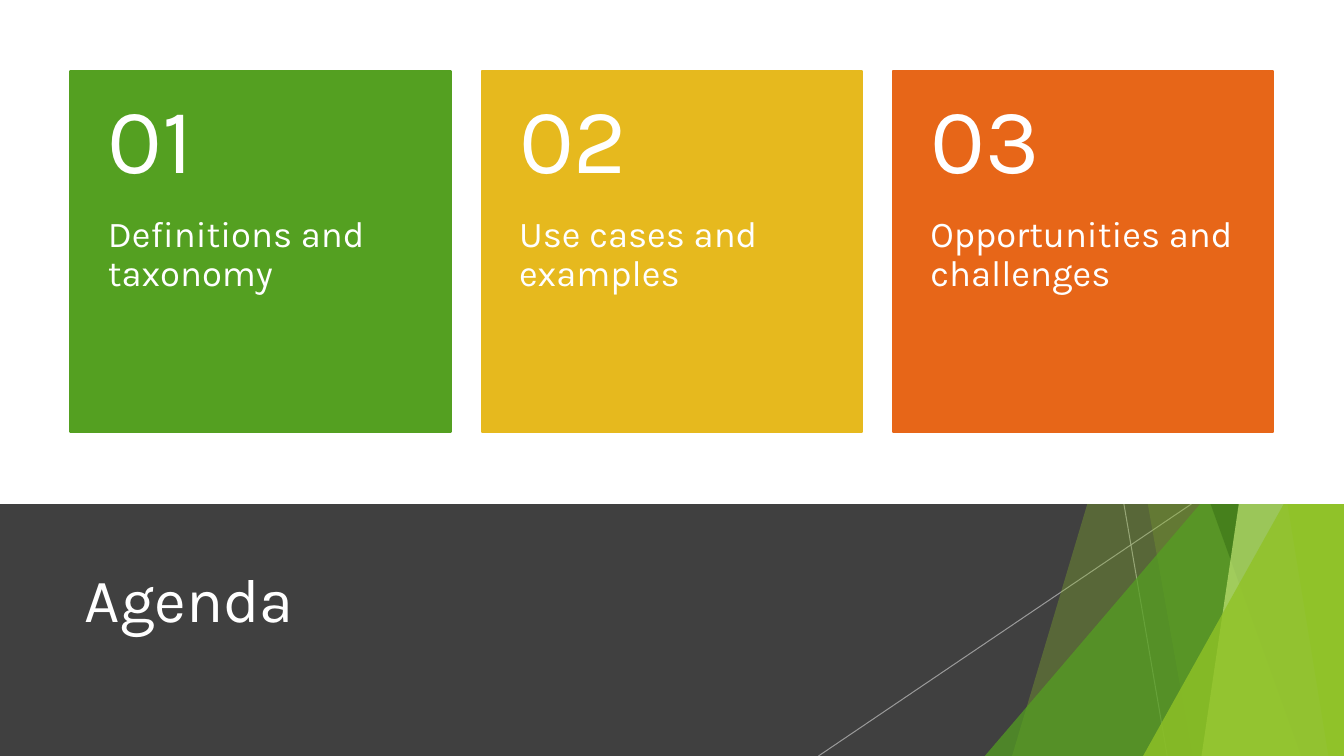
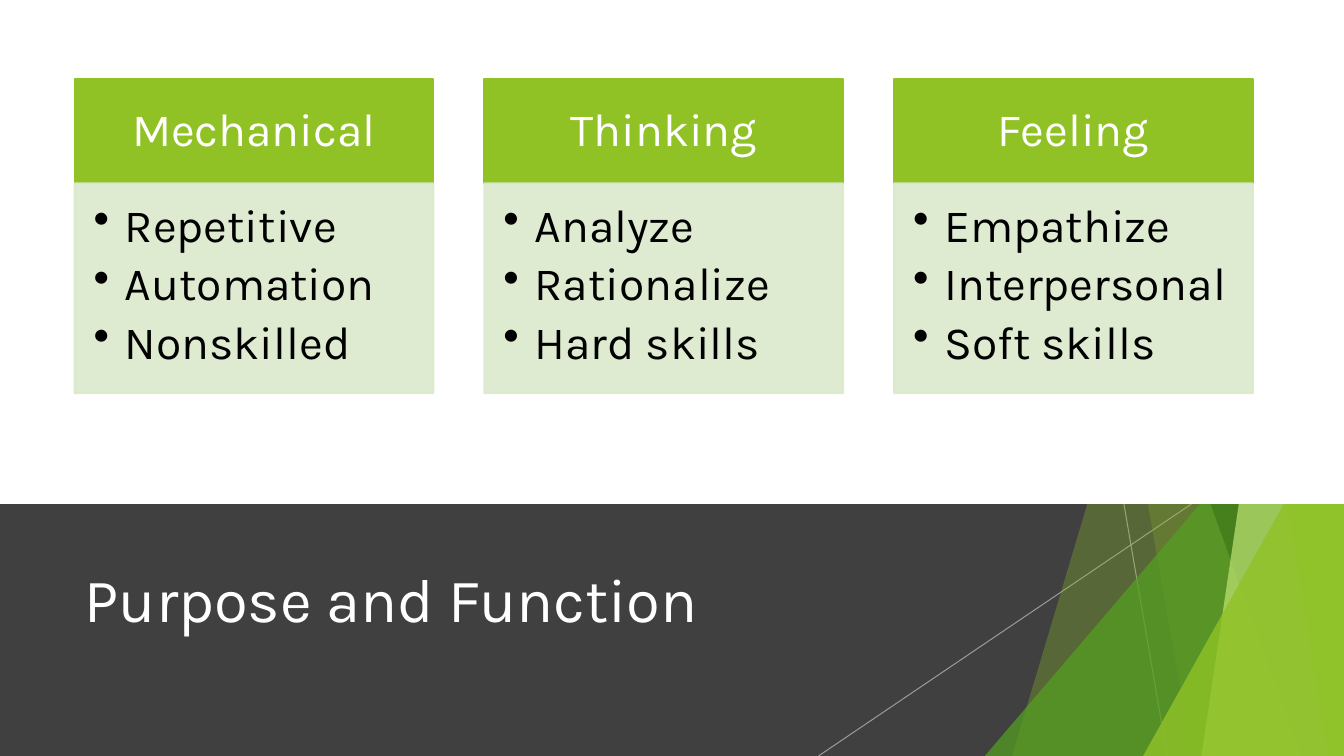
import dataclasses
import typing

import lxml.etree
import pptx
import pptx.dml.color
import pptx.enum.shapes
import pptx.enum.text
import pptx.oxml.ns
import pptx.util

Pt = pptx.util.Pt
Preset = pptx.enum.shapes.MSO_SHAPE
Anchor = pptx.enum.text.MSO_ANCHOR
Align = pptx.enum.text.PP_ALIGN

# Shared look
COLOURS = {
    "white": "FFFFFF", "black": "000000", "band": "404040", "ray": "BFBFBF",
    "lime": "90C226", "green": "54A021", "forest": "3F7819", "pale": "C0E474",
    "mint": "DBE9CD", "gold": "E6B91E", "orange": "E76618",
}
FONT = "Karla"
PAGE_WIDTH, PAGE_HEIGHT, BAND_TOP = 960, 540, 360
BULLET_INDENT = 22.32


@dataclasses.dataclass(frozen=True)
class Area:
    left: float
    top: float
    width: float
    height: float

    def lengths(self) -> list[int]:
        return [Pt(value) for value in dataclasses.astuple(self)]


@dataclasses.dataclass(frozen=True)
class Facet:
    """A four-sided pane reaching from the top edge to the bottom edge."""
    top_left: float
    bottom_left: float
    colour: str
    opacity: int


@dataclasses.dataclass(frozen=True)
class Wedge:
    """A right triangle standing in the lower right corner."""
    left: float
    top: float
    colour: str
    opacity: int


@dataclasses.dataclass(frozen=True)
class Ray:
    start: tuple[float, float]
    end: tuple[float, float]


@dataclasses.dataclass(frozen=True)
class TextStyle:
    size: float
    colour: str
    insets: tuple[float, float, float, float]
    anchor: typing.Any = Anchor.TOP
    align: typing.Any = Align.LEFT
    line_spacing: float = 0.9
    space_after: float = 0
    bulleted: bool = False


@dataclasses.dataclass(frozen=True)
class AgendaItem:
    label: str
    colour: str


@dataclasses.dataclass(frozen=True)
class SkillColumn:
    heading: str
    points: tuple[str, ...]


RAYS = (Ray((802.8, 360), (833.76, 540)), Ray((851.04, 360), (584.64, 540)))
PANES = (
    Facet(884.16, 722.88, "lime", 30),
    Facet(756, 851.76, "lime", 20),
    Wedge(703.44, 239.76, "green", 72),
    Facet(735.12, 929.52, "forest", 70),
    Facet(938.16, 858.24, "pale", 70),
    Facet(861.12, 948.96, "lime", 65),
    Wedge(816.48, 282.96, "lime", 80),
)
TITLE_AREA = Area(53.28, 375.12, 676.8, 103.68)
TITLE_STYLE = TextStyle(44, "white", (7.2, 3.6, 7.2, 3.6), Anchor.MIDDLE, line_spacing=1.0)
NUMBER_STYLE = TextStyle(66, "white", (26.64, 12.96, 26.64, 12.96), Anchor.MIDDLE)
LABEL_STYLE = TextStyle(26, "white", (26.64, 0, 26.64, 25.92))
HEADING_STYLE = TextStyle(33, "white", (18.72, 10.8, 18.72, 10.8), Anchor.MIDDLE, Align.CENTER)
POINTS_STYLE = TextStyle(33, "black", (13.68, 13.68, 18.72, 20.88),
                         space_after=6, bulleted=True)

# Slide content
AGENDA = (
    AgendaItem("Definitions and taxonomy", "green"),
    AgendaItem("Use cases and examples", "gold"),
    AgendaItem("Opportunities and challenges", "orange"),
)
SKILLS = (
    SkillColumn("Mechanical", ("Repetitive", "Automation", "Nonskilled")),
    SkillColumn("Thinking", ("Analyze", "Rationalize", "Hard skills")),
    SkillColumn("Feeling", ("Empathize", "Interpersonal", "Soft skills")),
)


# Drawing helpers
def rgb(name: str) -> pptx.dml.color.RGBColor:
    return pptx.dml.color.RGBColor.from_string(COLOURS[name])


def set_format(target: typing.Any, values: dict[str, typing.Any]) -> None:
    for name, value in values.items():
        setattr(target, name, value)


def set_opacity(shape: typing.Any, percent: int) -> None:
    if percent < 100:
        for colour in shape.element.xpath("./p:spPr//a:srgbClr"):
            lxml.etree.SubElement(colour, pptx.oxml.ns.qn("a:alpha"), val=str(percent * 1000))


def paint(shape: typing.Any, colour: str, opacity: int = 100, outline: float = 0) -> None:
    shape.shadow.inherit = False
    shape.fill.solid()
    shape.fill.fore_color.rgb = rgb(colour)
    if outline:
        shape.line.color.rgb = rgb(colour)
        shape.line.width = Pt(outline)
    else:
        shape.line.fill.background()
    set_opacity(shape, opacity)


def add_block(page: typing.Any, area: Area, colour: str,
              opacity: int = 100, outline: float = 0) -> typing.Any:
    block = page.shapes.add_shape(Preset.RECTANGLE, *area.lengths())
    paint(block, colour, opacity, outline)
    return block


def write(box: typing.Any, lines: typing.Sequence[str], style: TextStyle) -> None:
    frame = box.text_frame
    margins = ("margin_left", "margin_top", "margin_right", "margin_bottom")
    set_format(frame, {
        "word_wrap": True,
        "auto_size": pptx.enum.text.MSO_AUTO_SIZE.NONE,
        "vertical_anchor": style.anchor,
        **{name: Pt(inset) for name, inset in zip(margins, style.insets)},
    })
    for index, line in enumerate(lines):
        para = frame.add_paragraph() if index else frame.paragraphs[0]
        set_format(para, {
            "alignment": style.align,
            "line_spacing": style.line_spacing,
            "space_after": Pt(style.space_after),
        })
        span = para.add_run()
        span.text = line
        set_format(span.font, {"name": FONT, "size": Pt(style.size)})
        span.font.color.rgb = rgb(style.colour)
    if style.bulleted:
        add_bullets(box)


def add_bullets(box: typing.Any) -> None:
    for properties in box.element.xpath(".//a:pPr"):
        properties.set("marL", str(Pt(BULLET_INDENT)))
        properties.set("indent", str(-Pt(BULLET_INDENT)))
        lxml.etree.SubElement(properties, pptx.oxml.ns.qn("a:buChar"), char="•")


def add_text(page: typing.Any, area: Area, text: str, style: TextStyle) -> None:
    write(page.shapes.add_textbox(*area.lengths()), [text], style)


def add_ray(page: typing.Any, ray: Ray) -> None:
    line = page.shapes.add_connector(
        pptx.enum.shapes.MSO_CONNECTOR.STRAIGHT,
        *[Pt(value) for value in ray.start + ray.end])
    line.line.color.rgb = rgb("ray")
    line.line.width = Pt(0.75)
    set_opacity(line, 70)
    properties = line.element.xpath("./p:spPr")[0]
    lxml.etree.SubElement(properties, pptx.oxml.ns.qn("a:effectLst"))


def add_pane(page: typing.Any, pane: Facet | Wedge) -> None:
    if isinstance(pane, Wedge):
        area = Area(pane.left, pane.top, PAGE_WIDTH - pane.left, PAGE_HEIGHT - pane.top)
        shape = page.shapes.add_shape(Preset.ISOSCELES_TRIANGLE, *area.lengths())
        shape.adjustments[0] = 1.0
    else:
        corners = ((PAGE_WIDTH, 0), (PAGE_WIDTH, PAGE_HEIGHT), (pane.bottom_left, PAGE_HEIGHT))
        builder = page.shapes.build_freeform(Pt(pane.top_left), 0)
        builder.add_line_segments([(Pt(x), Pt(y)) for x, y in corners], close=True)
        shape = builder.convert_to_shape()
    paint(shape, pane.colour, pane.opacity)


def add_page(deck: typing.Any, title: str) -> typing.Any:
    """Add a page with the dark band, the faceted corner and the title."""
    page = deck.slides.add_slide(deck.slide_layouts[5])
    add_block(page, Area(0, BAND_TOP, PAGE_WIDTH, PAGE_HEIGHT - BAND_TOP), "band")
    for ray in RAYS:
        add_ray(page, ray)
    for pane in PANES:
        add_pane(page, pane)
    # The white upper area trims the facets at the band
    add_block(page, Area(0, 0, PAGE_WIDTH, BAND_TOP), "white")
    heading = page.shapes.title
    set_format(heading, dict(zip(("left", "top", "width", "height"), TITLE_AREA.lengths())))
    write(heading, [title], TITLE_STYLE)
    heading.element.getparent().append(heading.element)
    return page


# Slides
def build_agenda(deck: typing.Any) -> None:
    page = add_page(deck, "Agenda")
    top, width, height, number_height = 50.4, 271.44, 258.48, 103.68
    for index, item in enumerate(AGENDA):
        left = 50.4 + index * 293.76
        add_block(page, Area(left, top, width, height), item.colour, outline=1.5)
        add_text(page, Area(left, top + number_height, width, height - number_height),
                 item.label, LABEL_STYLE)
        add_text(page, Area(left, top, width, number_height), f"{index + 1:02}", NUMBER_STYLE)


def build_skills(deck: typing.Any) -> None:
    page = add_page(deck, "Purpose and Function")
    top, width, heading_height, points_height = 56.16, 256.32, 74.88, 149.76
    for index, column in enumerate(SKILLS):
        left = 53.28 + index * 292.68
        heading = add_block(page, Area(left, top, width, heading_height), "lime", outline=1.5)
        write(heading, [column.heading], HEADING_STYLE)
        points = add_block(page, Area(left, top + heading_height, width, points_height),
                           "mint", opacity=90, outline=1.5)
        write(points, column.points, POINTS_STYLE)


def main() -> None:
    deck = pptx.Presentation()
    set_format(deck, {"slide_width": Pt(PAGE_WIDTH), "slide_height": Pt(PAGE_HEIGHT)})
    build_agenda(deck)
    build_skills(deck)
    deck.save("out.pptx")


main()
